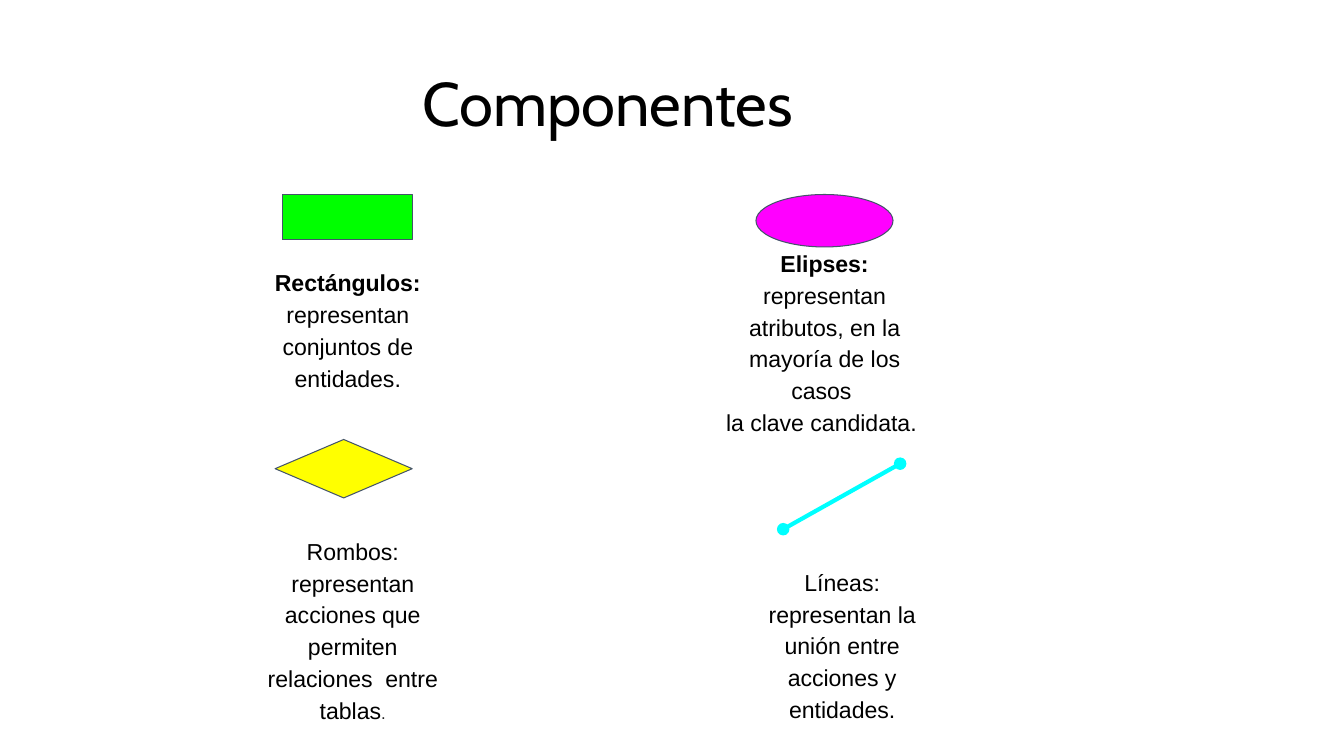
import pptx
import pptx.dml.color
import pptx.enum.shapes
import pptx.enum.text
import pptx.oxml
import pptx.oxml.ns
import pptx.util

Pt = pptx.util.Pt
SHAPES = pptx.enum.shapes.MSO_SHAPE
MIDDLE = pptx.enum.text.MSO_ANCHOR.MIDDLE
CENTER = pptx.enum.text.PP_ALIGN.CENTER
BODY_SIZE = 16.5


def color(hex_code):
    return pptx.dml.color.RGBColor.from_string(hex_code)


def add_run(para, text, size=BODY_SIZE, font="Arial", hex_code="000000", bold=False):
    span = para.add_run()
    span.text = text
    span.font.size = Pt(size)
    span.font.name = font
    span.font.bold = bold
    span.font.color.rgb = color(hex_code)


def set_title(page, text):
    title = page.shapes.title
    title.left, title.top = Pt(20.16), Pt(23.76)
    title.width, title.height = Pt(828), Pt(104.4)
    title.text_frame.vertical_anchor = MIDDLE
    para = title.text_frame.paragraphs[0]
    para.alignment = CENTER
    para.line_spacing = 0.9
    add_run(para, text, size=44, font="Cabin")


def add_symbol(page, kind, left, top, width, height, fill):
    symbol = page.shapes.add_shape(kind, Pt(left), Pt(top), Pt(width), Pt(height))
    symbol.shadow.inherit = False
    symbol.fill.solid()
    symbol.fill.fore_color.rgb = color(fill)
    symbol.line.color.rgb = color("44546A")
    symbol.line.width = Pt(0.75)


def add_description(page, left, top, width, height, paragraphs):
    box = page.shapes.add_textbox(Pt(left), Pt(top), Pt(width), Pt(height))
    frame = box.text_frame
    frame.word_wrap = True
    frame.vertical_anchor = MIDDLE
    frame.margin_left = frame.margin_right = Pt(5)
    frame.margin_top = frame.margin_bottom = Pt(5)
    for index, spans in enumerate(paragraphs):
        para = frame.add_paragraph() if index else frame.paragraphs[0]
        para.alignment = CENTER
        para.line_spacing = 1.15
        for text, style in spans:
            add_run(para, text, **style)


def add_union_line(page, start_x, start_y, end_x, end_y):
    line = page.shapes.add_connector(
        pptx.enum.shapes.MSO_CONNECTOR.STRAIGHT,
        Pt(start_x), Pt(start_y), Pt(end_x), Pt(end_y))
    line.line.color.rgb = color("00FFFF")
    line.line.width = Pt(3)
    outline = line.line._get_or_add_ln()
    for tag in ("a:headEnd", "a:tailEnd"):
        end = pptx.oxml.parse_xml(f"<{tag} {pptx.oxml.ns.nsdecls('a')} type='oval'/>")
        outline.append(end)
    line._element.spPr.append(
        pptx.oxml.parse_xml(f"<a:effectLst {pptx.oxml.ns.nsdecls('a')}/>"))


def main():
    deck = pptx.Presentation()
    deck.slide_width, deck.slide_height = Pt(960), Pt(540)
    page = deck.slides.add_slide(deck.slide_layouts.get_by_name("Title Only"))
    set_title(page, "Componentes")

    add_symbol(page, SHAPES.RECTANGLE, 201.6, 138.96, 92.88, 32.4, "00FF00")
    add_symbol(page, SHAPES.OVAL, 540, 138.96, 97.92, 37.44, "FF00FF")
    add_symbol(page, SHAPES.DIAMOND, 196.56, 313.92, 97.92, 41.76, "FFFF00")
    add_union_line(page, 642.96, 331.2, 559.44, 378)

    heading = {"bold": True}
    add_description(page, 190.08, 200.16, 116.64, 68.4, [
        [("Rectángulos: ", heading), ("representan conjuntos de entidades.", {})]])
    add_description(page, 512.64, 200.16, 152.64, 86.4, [
        [("Elipses: ", heading),
         ("representan atributos, en la mayoría de los casos ", {})],
        [("la clave candidata. ", {})]])
    add_description(page, 180, 403.92, 144, 90, [
        [("Rombos: representan acciones que permiten relaciones  entre tablas", {}),
         (".", {"size": 12, "hex_code": "222222"})]])
    add_description(page, 537.12, 425.52, 128.88, 68.4, [
        [("Líneas: representan la unión entre acciones y entidades.", {})]])

    deck.save("out.pptx")


if __name__ == "__main__":
    main()
